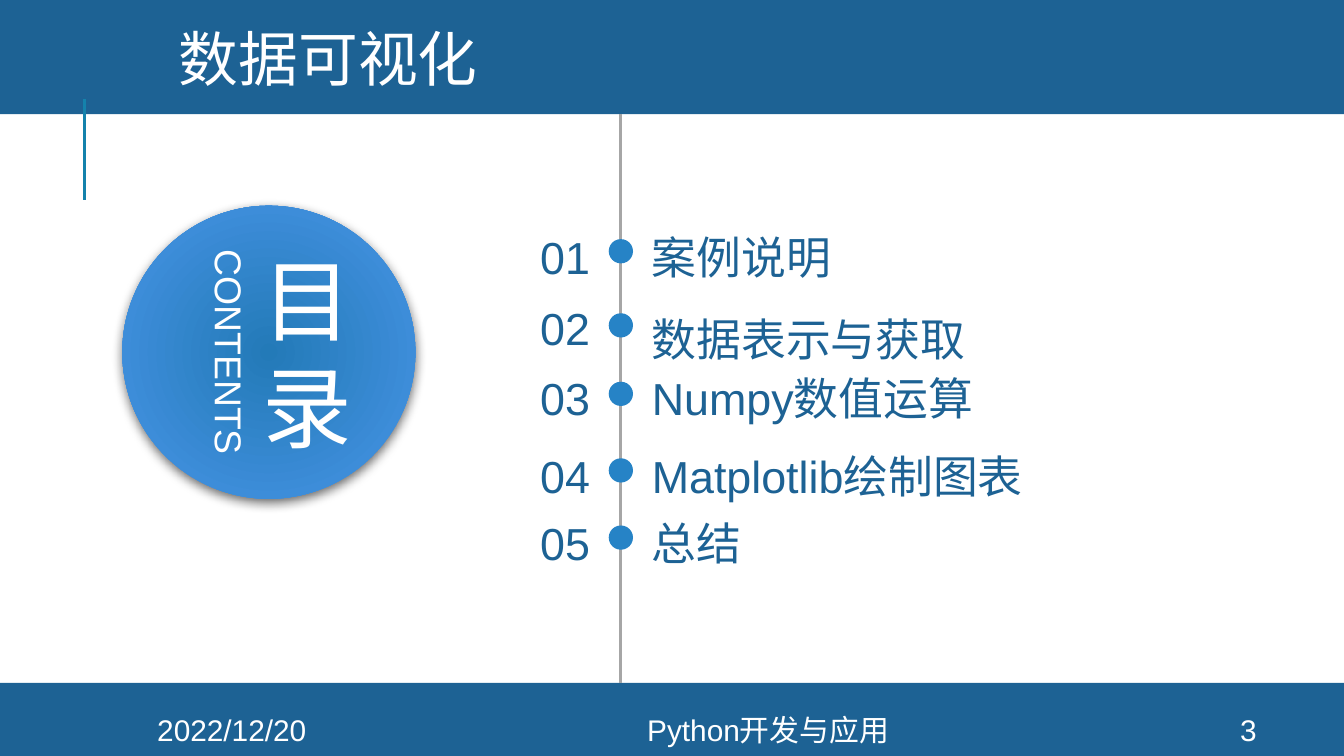
from lxml.etree import SubElement
from pptx import Presentation
from pptx.dml.color import RGBColor
from pptx.enum.shapes import MSO_CONNECTOR, MSO_SHAPE
from pptx.enum.text import MSO_ANCHOR, MSO_AUTO_SIZE, PP_ALIGN
from pptx.oxml.ns import qn
from pptx.util import Pt

COLORS = {
    "band": "1D6294", "accent": "1482AC", "axis": "A6A6A6", "dot": "2683C6",
    "badge_core": "237AB8", "badge_edge": "4895E7", "white": "FFFFFF", "shadow": "000000",
}
AGENDA = [
    ("01", "案例说明", 0, 5),
    ("02", "数据表示与获取", 38.2, 6.5),
    ("03", "Numpy数值运算", 75.6, 5.8),
    ("04", "Matplotlib绘制图表", 117.4, 5),
    ("05", "总结", 153.4, 5),
]


def rgb(name):
    """Return the named colour."""
    return RGBColor.from_string(COLORS[name])


def add_solid(slide, kind, box, color):
    """Add a borderless, shadowless preset shape."""
    solid = slide.shapes.add_shape(kind, *map(Pt, box))
    solid.shadow.inherit = False
    solid.fill.solid()
    solid.fill.fore_color.rgb = rgb(color)
    solid.line.fill.background()
    return solid


def add_rule(slide, start, end, color):
    """Add a straight line between two points."""
    rule = slide.shapes.add_connector(MSO_CONNECTOR.STRAIGHT, *map(Pt, start + end))
    rule.line.color.rgb = rgb(color)
    rule.line.width = Pt(1.5)
    SubElement(rule._element.spPr, qn("a:effectLst"))


def add_label(slide, box, text, size, color="white", font="Arial", align=PP_ALIGN.LEFT,
              anchor=MSO_ANCHOR.TOP, inset=True, grow=False):
    """Add a text box whose runs share one format."""
    label = slide.shapes.add_textbox(*map(Pt, box))
    frame = label.text_frame
    frame.text = text
    frame.word_wrap = True
    frame.vertical_anchor = anchor
    frame.auto_size = MSO_AUTO_SIZE.SHAPE_TO_FIT_TEXT if grow else MSO_AUTO_SIZE.NONE
    if not inset:
        frame.margin_left = frame.margin_right = frame.margin_top = frame.margin_bottom = 0
    for paragraph in frame.paragraphs:
        paragraph.alignment = align
        for run in paragraph.runs:
            run.font.size = Pt(size)
            run.font.name = font
            run.font.color.rgb = rgb(color)
    return label


def add_header(slide, box):
    """Draw the title band with its title and accent line."""
    left, top, width, height = box
    bottom = top + height
    add_solid(slide, MSO_SHAPE.RECTANGLE, box, "band")
    add_rule(slide, (left + 45.4, bottom - 7.9), (left + 45.4, bottom + 46.1), "accent")
    title = add_label(slide, (left + 81.4, top + 10.1, 190, 46), "数据可视化", 32,
                      font="Noto Sans CJK SC", grow=True)
    title.text_frame.margin_left = Pt(14.4)


def add_footer(slide, box):
    """Draw the bottom band with date, course name and page number."""
    left, top, width, height = box
    add_solid(slide, MSO_SHAPE.RECTANGLE, box, "band")
    for offset, span, text in ((60.5, 127.4, "2022/12/20"),
                               (187.9, 447.1, "Python开发与应用"),
                               (640, 57.6, "3")):
        add_label(slide, (left + offset, top + 16.6, span, 16.6), text, 16,
                  align=PP_ALIGN.CENTER, anchor=MSO_ANCHOR.MIDDLE)


def add_badge(slide, box):
    """Draw the round contents badge with its two captions."""
    left, top, width, height = box
    badge = add_solid(slide, MSO_SHAPE.OVAL, box, "badge_core")
    badge.fill.gradient()
    for stop, color in zip(badge.fill.gradient_stops, ("badge_core", "badge_edge")):
        stop.color.rgb = rgb(color)
    properties = badge._element.spPr
    gradient = properties.find(qn("a:gradFill"))
    gradient.remove(gradient.find(qn("a:lin")))
    radial = SubElement(gradient, qn("a:path"), path="circle")
    SubElement(radial, qn("a:fillToRect"), {side: "100000" for side in "ltrb"})
    shadow = SubElement(properties.find(qn("a:effectLst")), qn("a:outerShdw"),
                        blurRad=str(Pt(6)), dist=str(Pt(2)), dir="5400000",
                        algn="t", rotWithShape="0")
    tint = SubElement(shadow, qn("a:srgbClr"), val=COLORS["shadow"])
    SubElement(tint, qn("a:alpha"), val="60000")

    heading = add_label(slide, (left + 48.3, top + 5.8, 101.5, 145.4), "目\n录", 48,
                        align=PP_ALIGN.CENTER, anchor=MSO_ANCHOR.MIDDLE, inset=False)
    for paragraph in heading.text_frame.paragraphs:
        for run in paragraph.runs:
            run.font._element.set("spc", "600")
    caption = add_label(slide, (left - 18.7, top + 62.6, 152, 31.7), "CONTENTS", 20,
                        align=PP_ALIGN.CENTER, grow=True)
    caption.rotation = 90


def add_agenda(slide, box):
    """Draw the vertical axis and the numbered entries along it."""
    left, top, width, height = box
    axis_x = left + 59
    add_rule(slide, (axis_x, top), (axis_x, top + height), "axis")
    for number, topic, offset, dot_drop in AGENDA:
        row_top = top + 61.9 + offset
        add_solid(slide, MSO_SHAPE.OVAL, (axis_x - 6.5, row_top + dot_drop, 13, 13), "dot")
        add_label(slide, (left, row_top, 42.5, 28.8), number, 24, "band",
                  align=PP_ALIGN.RIGHT, inset=False, grow=True)
        entry = add_label(slide, (left + 75.6, row_top, width - 75.6, 28.8), topic, 24,
                          "band", inset=False, grow=True)
        if number == "02":
            entry.height = Pt(34.6)
            entry.width = Pt(278.6)
            entry.text_frame.paragraphs[0].line_spacing = 1.2


def main():
    """Build the contents slide."""
    deck = Presentation()
    deck.slide_width, deck.slide_height = Pt(720), Pt(405)
    slide = deck.slides.add_slide(deck.slide_layouts[6])
    add_header(slide, (0, -2.2, 720, 63.4))
    add_footer(slide, (0, 365.8, 720, 39.2))
    add_badge(slide, (65.5, 110.2, 157, 157))
    add_agenda(slide, (273.6, 61.2, 318.2, 304.6))
    deck.save("out.pptx")


if __name__ == "__main__":
    main()
